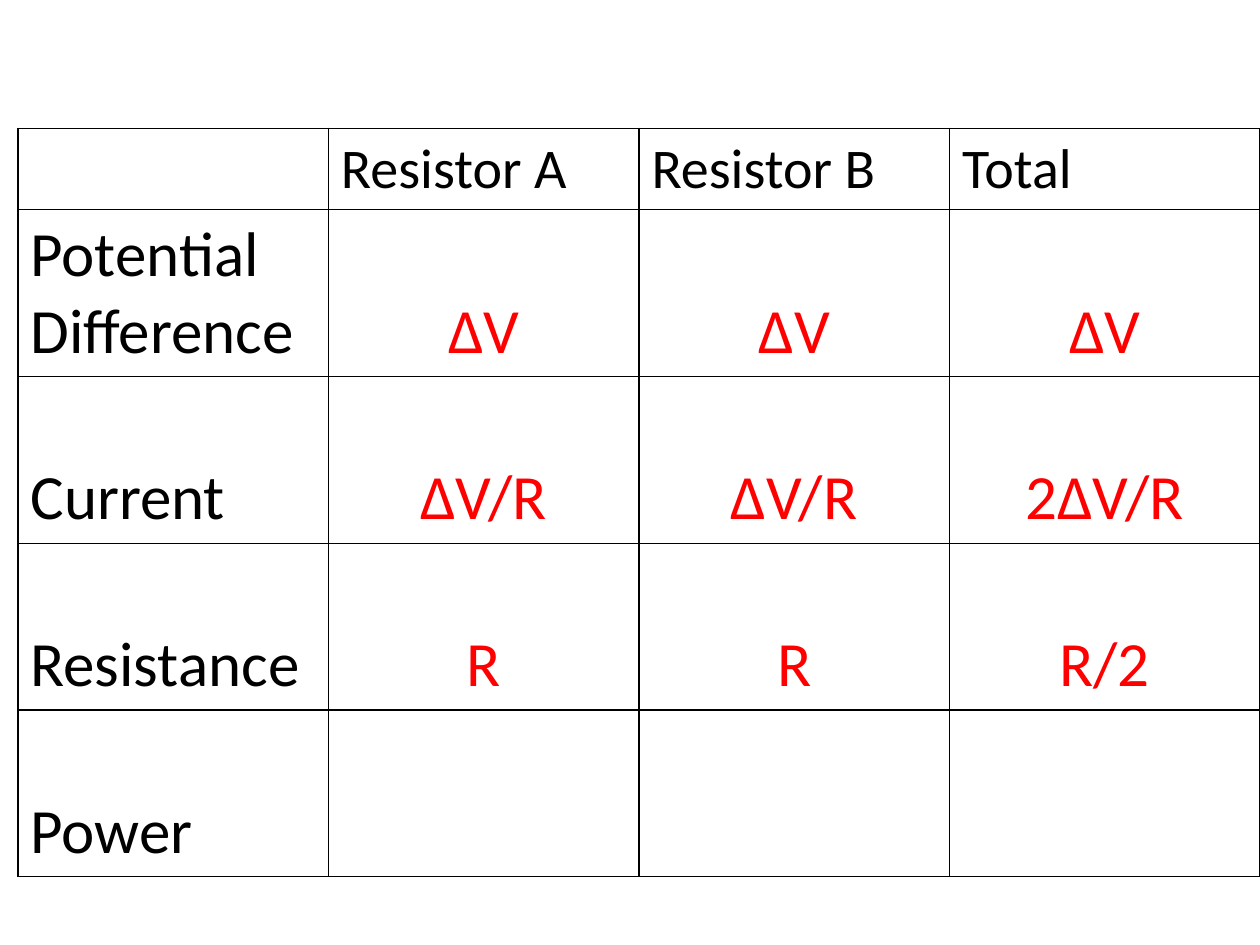
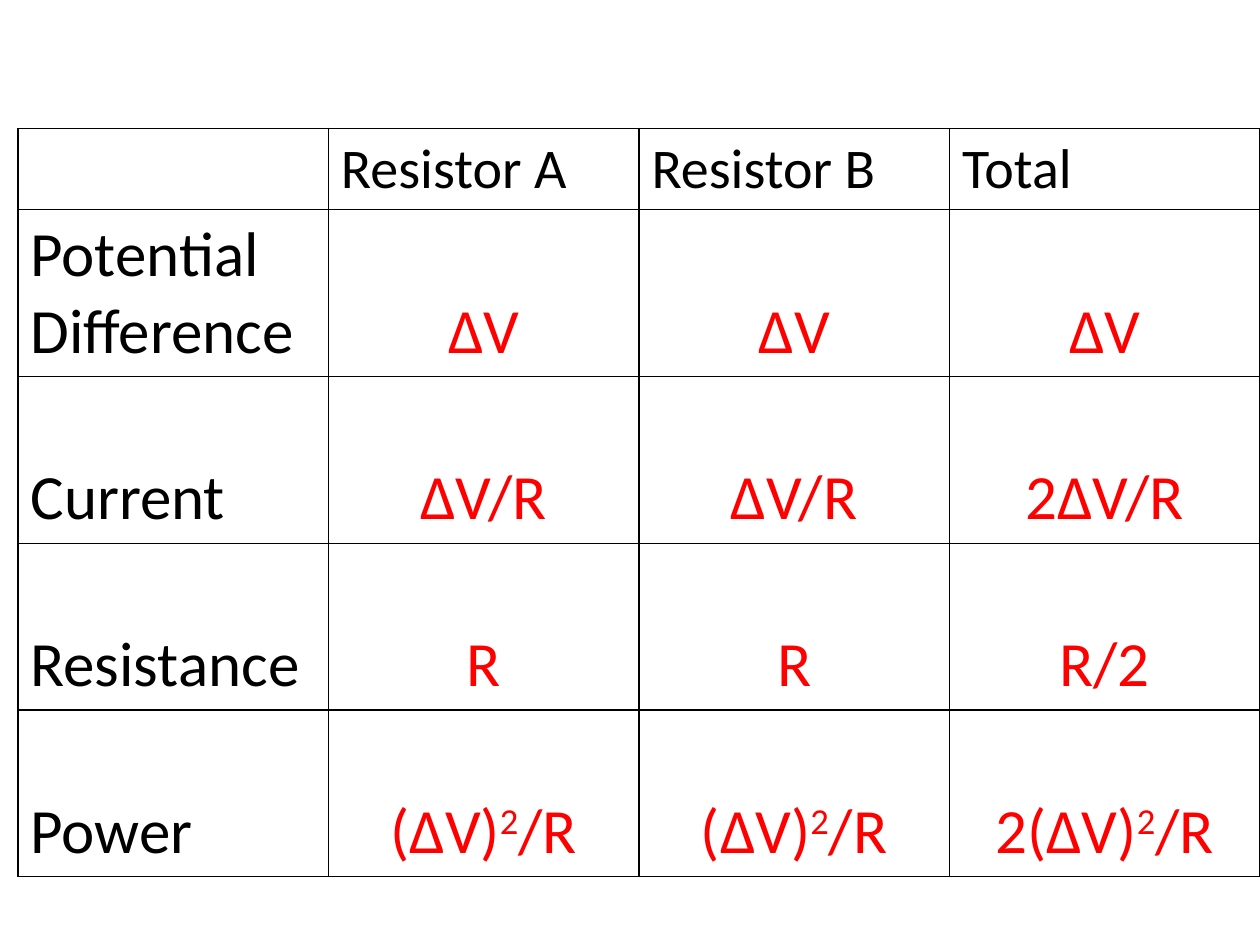
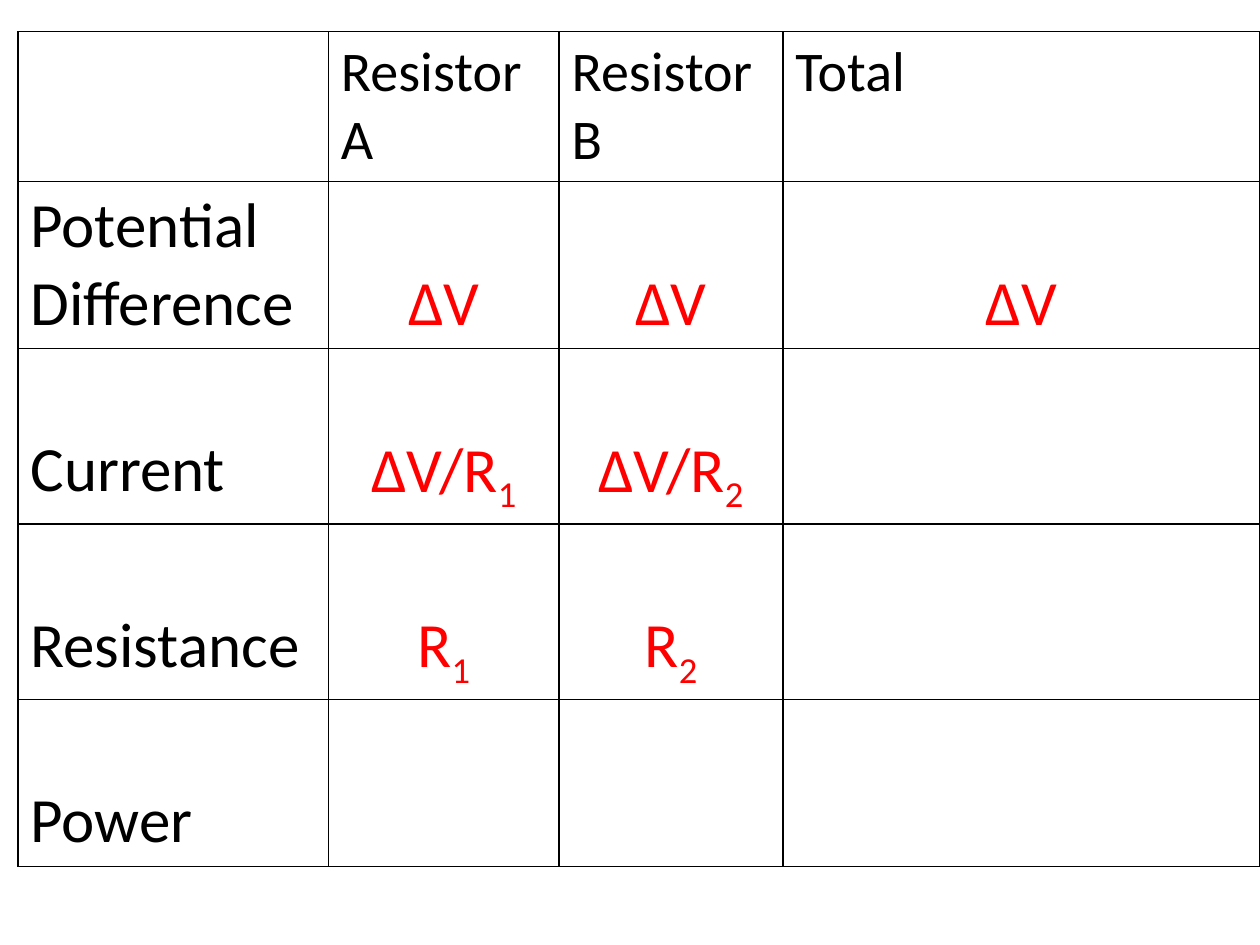
from dataclasses import dataclass

from lxml.etree import SubElement
from pptx import Presentation
from pptx.dml.color import RGBColor
from pptx.enum.text import MSO_ANCHOR, PP_ALIGN
from pptx.oxml.ns import qn
from pptx.util import Cm, Pt


@dataclass(frozen=True)
class Theme:
    font: str = "Calibri"
    ink: str = "000000"
    answer: str = "FF0000"
    head: int = 32
    body: int = 36
    line: int = 1
    left: float = 0.36
    edge: float = 0.13
    drop: float = 0.18


@dataclass(frozen=True)
class Grid:
    top: float
    widths: tuple[float, ...]
    heights: tuple[float, ...]
    values: tuple[tuple[str, ...], ...]


THEME = Theme()
HEADS = ("", "Resistor A", "Resistor B", "Total")
LABELS = ("Potential Difference", "Current", "Resistance", "Power")
SHIFTS = {"^": "30000", "_": "-25000"}
PLAIN = {"first_row": False, "horz_banding": False}


def assign(target: object, values: dict) -> None:
    for name, value in values.items():
        setattr(target, name, value)


def pieces(text: str) -> list[tuple[str, str]]:
    for mark, shift in SHIFTS.items():
        if mark in text:
            base, rest = text.split(mark)
            parts = [(base, ""), (rest[0], shift), (rest[1:], "")]
            return [part for part in parts if part[0]]
    return [(text, "")] if text else []


def frame(cell) -> None:
    props = cell._tc.get_or_add_tcPr()
    for side in ("lnL", "lnR", "lnT", "lnB"):
        line = SubElement(props, qn(f"a:{side}"), w=str(Pt(THEME.line)))
        fill = SubElement(line, qn("a:solidFill"))
        SubElement(fill, qn("a:srgbClr"), val=THEME.ink)
    cell.fill.background()


def write(cell, text: str, size: int, tint: str, align: PP_ALIGN) -> None:
    para = cell.text_frame.paragraphs[0]
    para.alignment = align
    for word, shift in pieces(text):
        run = para.add_run()
        run.text = word
        assign(run.font, {"name": THEME.font, "size": Pt(size), "bold": False})
        run.font.color.rgb = RGBColor.from_string(tint)
        if shift:
            run._r.get_or_add_rPr().set("baseline", shift)


def draw(deck, grid: Grid) -> None:
    slide = deck.slides.add_slide(deck.slide_layouts[6])
    rows = [HEADS] + [(label, *row) for label, row in zip(LABELS, grid.values)]
    table = slide.shapes.add_table(
        len(rows), len(HEADS), Cm(THEME.left), Cm(grid.top),
        Cm(sum(grid.widths)), Cm(sum(grid.heights)),
    ).table
    assign(table, PLAIN)
    for col, width in zip(table.columns, grid.widths):
        col.width = Cm(width)
    for r, (row, height) in enumerate(zip(rows, grid.heights)):
        table.rows[r].height = Cm(height)
        sunk = any("_" in text for text in row)
        for c, text in enumerate(row):
            cell = table.cell(r, c)
            frame(cell)
            lift = THEME.drop if sunk and "_" not in text else 0
            assign(cell, {
                "vertical_anchor": MSO_ANCHOR.BOTTOM if r else MSO_ANCHOR.TOP,
                "margin_bottom": Cm(THEME.edge + lift),
            })
            inner = r > 0 and c > 0
            write(
                cell, text,
                THEME.body if r else THEME.head,
                THEME.answer if inner else THEME.ink,
                PP_ALIGN.CENTER if inner else PP_ALIGN.LEFT,
            )


EVEN = (6.26,) * 4
TALL = (1.63,) + (3.36,) * 4
SAME = (("ΔV",) * 3, ("ΔV/R", "ΔV/R", "2ΔV/R"), ("R", "R", "R/2"))
POWER = ("(ΔV)^2/R", "(ΔV)^2/R", "2(ΔV)^2/R")
BLANK = ("",) * 3
MIXED = (("ΔV",) * 3, ("ΔV/R_1", "ΔV/R_2", ""), ("R_1", "R_2", ""), BLANK)

GRIDS = (
    Grid(2.59, EVEN, TALL, (*SAME, BLANK)),
    Grid(2.59, EVEN, TALL, (*SAME, POWER)),
    Grid(0.64, (6.26, 4.65, 4.51, 9.62), (3.02, 3.36, 3.54, 3.54, 3.36), MIXED),
)

deck = Presentation()
assign(deck, {"slide_width": Cm(25.4), "slide_height": Cm(19.05)})
for grid in GRIDS:
    draw(deck, grid)
deck.save("out.pptx")
